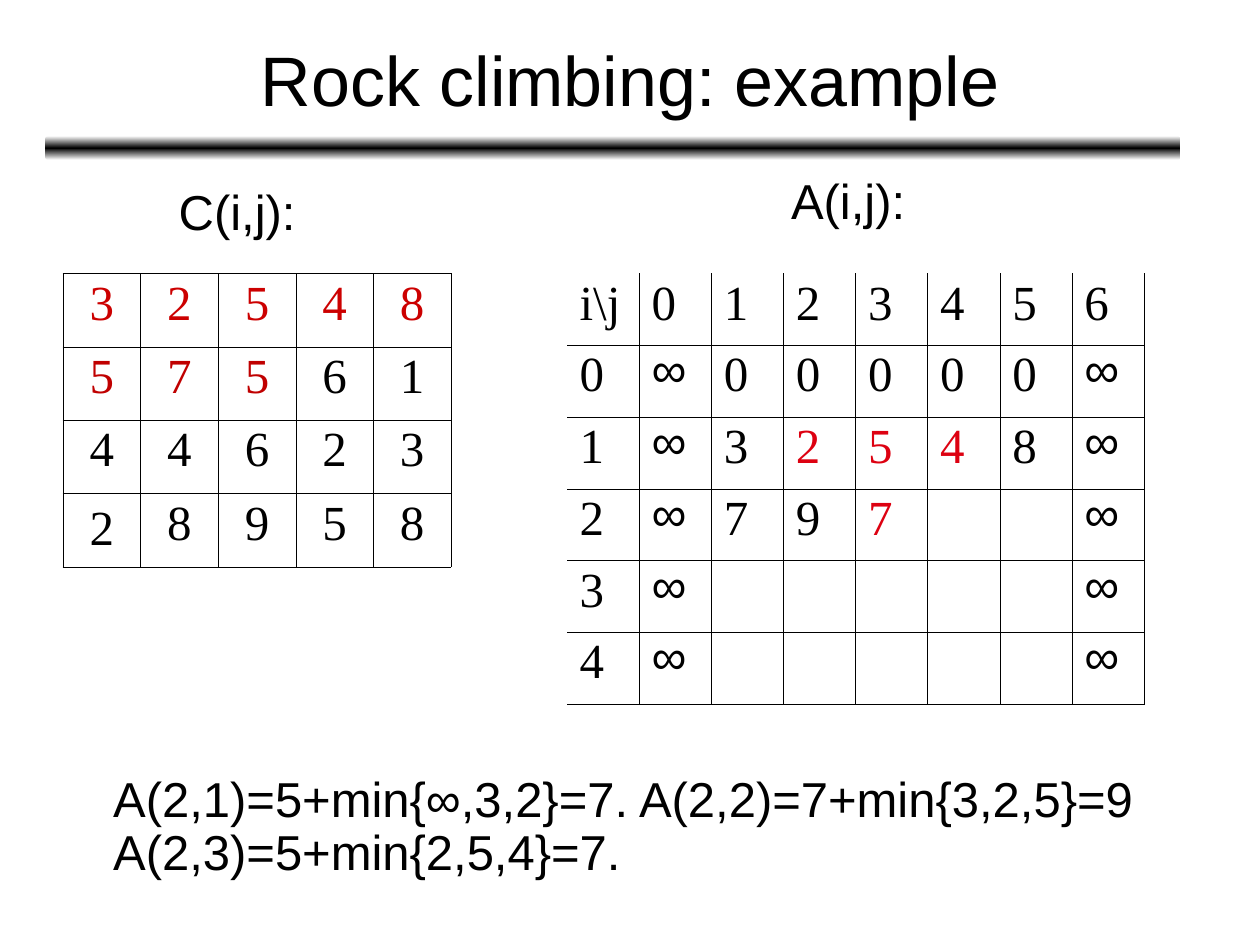
"""Build the rock climbing example slide with its cost and path tables."""
from copy import deepcopy

from lxml import etree
from pptx import Presentation
from pptx.dml.color import RGBColor
from pptx.enum.shapes import MSO_SHAPE
from pptx.enum.text import MSO_ANCHOR, MSO_AUTO_SIZE, PP_ALIGN
from pptx.oxml.ns import qn
from pptx.util import Inches, Pt

ROUNDED = MSO_SHAPE.ROUNDED_RECTANGLE
MIDDLE, TOP = MSO_ANCHOR.MIDDLE, MSO_ANCHOR.TOP
CENTER, LEFT = PP_ALIGN.CENTER, PP_ALIGN.LEFT
FIT_SHAPE = MSO_AUTO_SIZE.SHAPE_TO_FIT_TEXT

COLORS = {"black": "000000", "white": "FFFFFF", "first_row": "CC0000",
          "second_row": "C00000", "minimum": "DD0111"}
THIN, EDGE = 0.23, 0.5


def add_run(paragraph, text, size, font="Arial", color="black"):
    run = paragraph.add_run()
    run.text = text
    run.font.size = Pt(size)
    run.font.name = font
    run.font.color.rgb = RGBColor.from_string(COLORS[color])


def add_border(cell, side, width):
    line = etree.SubElement(cell._tc.get_or_add_tcPr(), qn(f"a:ln{side}"), w=str(Pt(width)))
    if width:
        fill = etree.SubElement(line, qn("a:solidFill"))
        etree.SubElement(fill, qn("a:srgbClr"), val=COLORS["black"])
    else:
        etree.SubElement(line, qn("a:noFill"))


presentation = Presentation()
presentation.slide_width = Inches(10)
presentation.slide_height = Inches(7.5)
slide = presentation.slides.add_slide(presentation.slide_layouts[5])

title = slide.shapes.title
title.left, title.top = Inches(0.75), Inches(0)
title.width, title.height = Inches(8.5), Inches(1.25)
title.text_frame.vertical_anchor = MIDDLE
title_paragraph = title.text_frame.paragraphs[0]
title_paragraph.alignment = CENTER
add_run(title_paragraph, "Rock climbing: example", 40)

rule = slide.shapes.add_shape(ROUNDED, Inches(0.36), Inches(1.08), Inches(9.01), Inches(0.19))
rule.shadow.inherit = False
rule.line.fill.background()
rule.fill.gradient()
rule.fill.gradient_angle = 90
stop_list = rule._element.spPr.find(".//" + qn("a:gsLst"))
stop_list.append(deepcopy(stop_list[0]))
for stop, position, color in zip(rule.fill.gradient_stops, (0, 0.5, 1), ("white", "black", "white")):
    stop.position = position
    stop.color.rgb = RGBColor.from_string(COLORS[color])
title._element.addprevious(rule._element)

texts = [
    (1.32, 1.44, 1.15, 0.52, ["C(i,j):"]),
    (6.18, 1.36, 1.15, 0.52, ["A(i,j):"]),
    (0.8, 6.1, 8.35, 0.94, ["A(2,1)=5+min{∞,3,2}=7. A(2,2)=7+min{3,2,5}=9",
                            "A(2,3)=5+min{2,5,4}=7."]),
]
for left, top, width, height, lines in texts:
    box = slide.shapes.add_textbox(Inches(left), Inches(top), Inches(width), Inches(height))
    frame = box.text_frame
    frame.word_wrap = True
    frame.auto_size = FIT_SHAPE
    for index, text in enumerate(lines):
        paragraph = frame.add_paragraph() if index else frame.paragraphs[0]
        paragraph.alignment = LEFT
        paragraph.line_spacing = 0.9
        add_run(paragraph, text, 28)

cost_rows = ["3 2 5 4 8".split(), "5 7 5 6 1".split(), "4 4 6 2 3".split(), "2 8 9 5 8".split()]
cost_colors = {(0, column): "first_row" for column in range(5)}
cost_colors.update({(1, column): "second_row" for column in range(3)})
path_rows = [
    ["i\\j", *"0123456"],
    ["0", "∞", *"00000", "∞"],
    ["1", "∞", *"32548", "∞"],
    ["2", "∞", *"797", "", "", "∞"],
    ["3", "∞", *[""] * 5, "∞"],
    ["4", "∞", *[""] * 5, "∞"],
]
path_colors = dict.fromkeys([(2, 3), (2, 4), (2, 5), (3, 4)], "minimum")

tables = [
    (cost_rows, cost_colors, 0.5, 3.08, 2.33, CENTER, EDGE),
    (path_rows, path_colors, 4.5, 4.58, 3.42, LEFT, 0),
]
for rows, colors, left, width, height, alignment, outer in tables:
    row_count, column_count = len(rows), len(rows[0])
    table = slide.shapes.add_table(row_count, column_count, Inches(left), Inches(2.17),
                                   Inches(width), Inches(height)).table
    table.first_row = table.horz_banding = False
    for r, row in enumerate(rows):
        for c, text in enumerate(row):
            cell = table.cell(r, c)
            add_border(cell, "L", THIN if c else outer)
            add_border(cell, "R", THIN if c < column_count - 1 else EDGE)
            add_border(cell, "T", THIN if r else outer)
            add_border(cell, "B", THIN if r < row_count - 1 else EDGE)
            cell.fill.background()
            cell.vertical_anchor = MIDDLE if rows is cost_rows and (r, c) == (3, 0) else TOP
            if text:
                infinite = text == "∞"
                paragraph = cell.text_frame.paragraphs[0]
                paragraph.alignment = alignment
                paragraph.line_spacing = 0.83 if infinite else 0.93
                add_run(paragraph, text, 28, "Arial" if infinite else "Times New Roman",
                        colors.get((r, c), "black"))

presentation.save("out.pptx")
